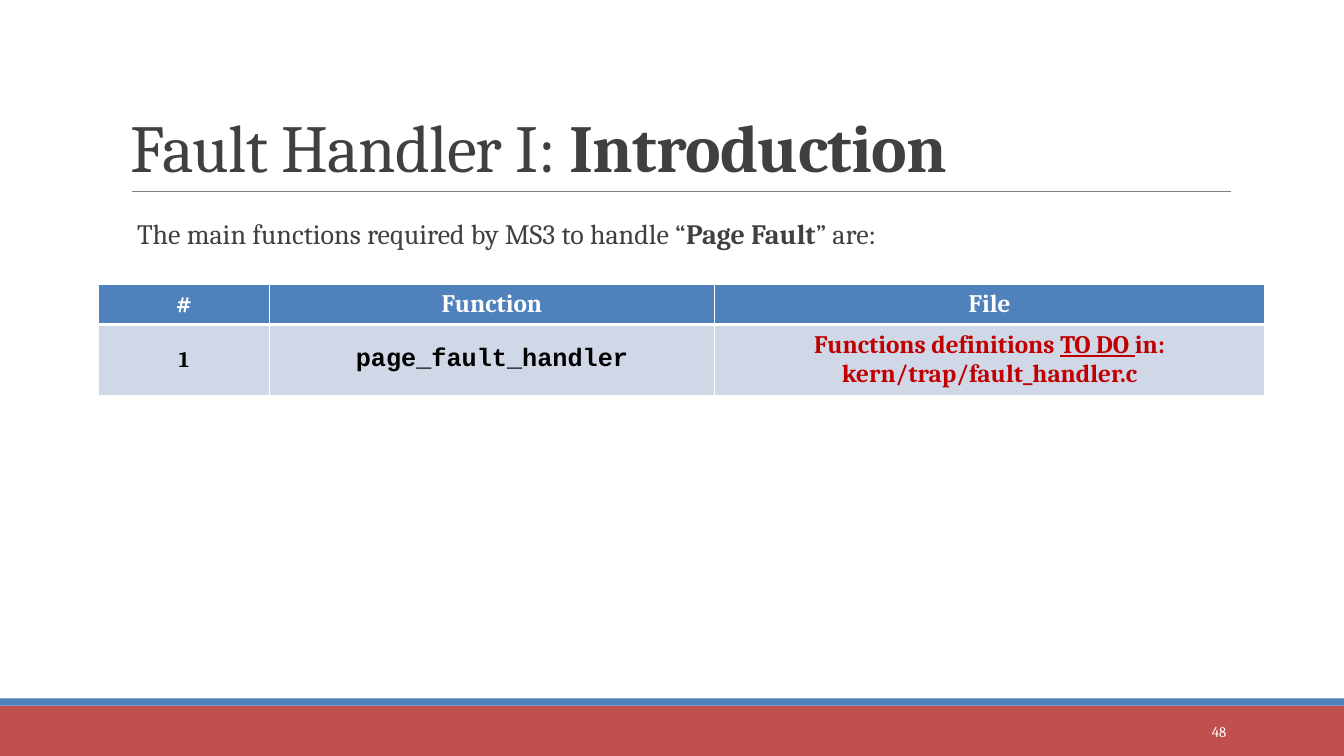
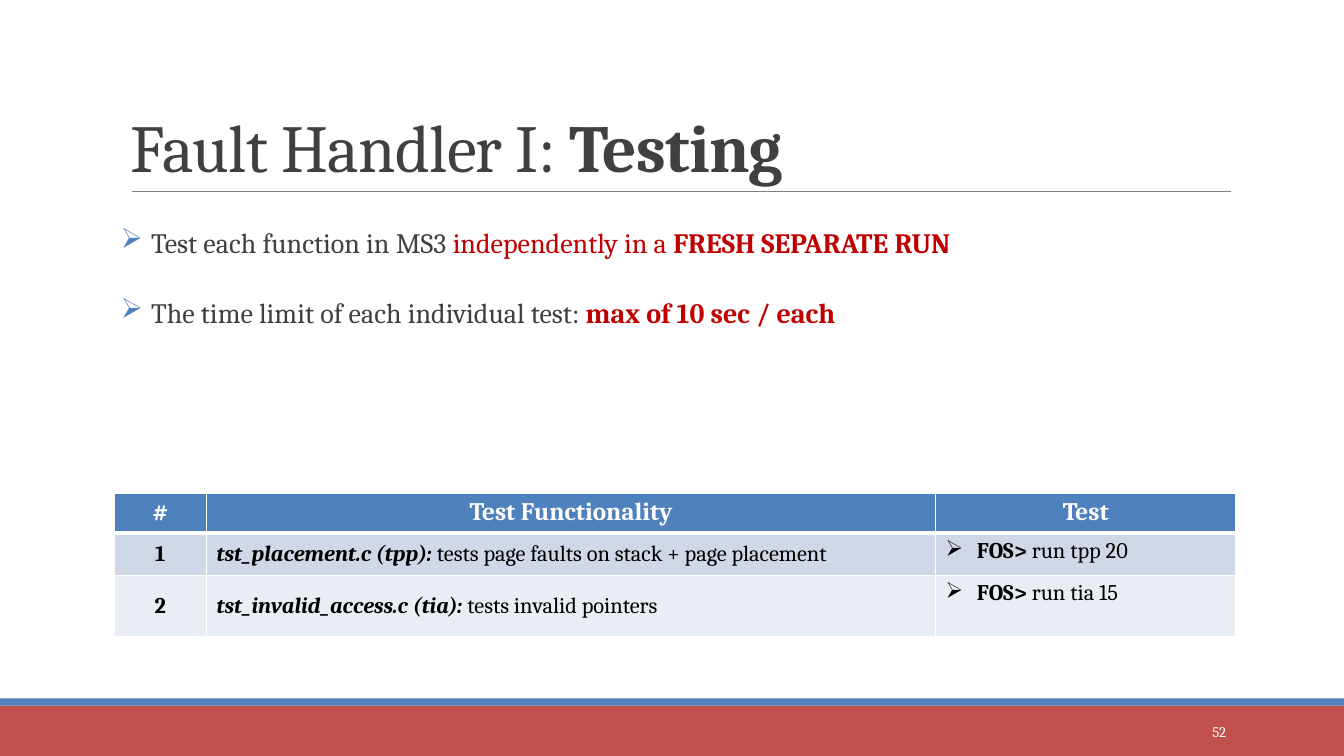
from lxml import etree
from pptx import Presentation
from pptx.dml.color import RGBColor
from pptx.enum.shapes import MSO_CONNECTOR, MSO_SHAPE
from pptx.enum.text import MSO_ANCHOR, PP_ALIGN
from pptx.oxml.ns import qn
from pptx.util import Inches, Pt

RECTANGLE, STRAIGHT = MSO_SHAPE.RECTANGLE, MSO_CONNECTOR.STRAIGHT
TOP, MIDDLE, BOTTOM = MSO_ANCHOR.TOP, MSO_ANCHOR.MIDDLE, MSO_ANCHOR.BOTTOM
LEFT, CENTER, RIGHT = PP_ALIGN.LEFT, PP_ALIGN.CENTER, PP_ALIGN.RIGHT

COLORS = {
    "blue": "4F81BD", "red": "C0504D", "rule": "808080", "text": "404040",
    "accent": "C00000", "white": "FFFFFF", "black": "000000",
    "odd row": "D0D8E8", "even row": "E9EDF4",
}
BOLD = {"bold": True}
ACCENT = {"color": "accent"}
STRONG_ACCENT = {"color": "accent", "bold": True}
BOLD_ITALIC = {"bold": True, "italic": True}


def rgb(name):
    return RGBColor.from_string(COLORS[name])


def write_text(frame, paragraphs, size=20, color="text", font="Cambria", bold=False,
               align=LEFT, line_spacing=None, before=0, after=0, indent=0,
               bullet=None, bullet_color=None, tracking=None):
    for index, runs in enumerate(paragraphs):
        paragraph = frame.add_paragraph() if index else frame.paragraphs[0]
        properties = paragraph._p.get_or_add_pPr()
        if indent:
            properties.set("marL", str(Inches(indent)))
        if bullet:
            properties.set("indent", str(-Inches(indent)))
            if bullet_color:
                tint = etree.SubElement(properties, qn("a:buClr"))
                etree.SubElement(tint, qn("a:srgbClr"), val=COLORS[bullet_color])
            etree.SubElement(properties, qn("a:buChar"), char=bullet)
        paragraph.alignment = align
        paragraph.line_spacing = line_spacing
        paragraph.space_before = Pt(before if index else 0)
        paragraph.space_after = Pt(after)
        for text, style in runs:
            run = paragraph.add_run()
            run.text = text
            run.font.name = font
            run.font.size = Pt(size)
            run.font.bold = style.get("bold", bold)
            run.font.italic = style.get("italic", False)
            run.font.underline = style.get("underline", False)
            run.font.color.rgb = rgb(style.get("color", color))
            if tracking:
                run._r.get_or_add_rPr().set("spc", str(tracking))


header_format = {"size": 18, "color": "white", "bold": True, "align": CENTER}
number_format = {"size": 16, "color": "black", "bold": True, "align": CENTER}
function_format = {"size": 18, "color": "black", "font": "Courier New", "bold": True,
                   "align": CENTER}
file_format = {"size": 18, "color": "accent", "bold": True, "align": CENTER}
test_format = {"size": 16, "color": "black"}
command_format = {**test_format, "bullet": "➢", "indent": 0.31}

lessons = [
    {
        "topic": "Introduction",
        "number": "48",
        "body": [[("The main functions required by MS3 to handle “", {}),
                  ("Page Fault", BOLD), ("” are:", {})]],
        "body_at": (1.26, 2.14, 11, 4.4),
        "body_format": {"line_spacing": 0.9, "indent": 0.1},
        "table_at": (0.98, 2.82),
        "columns": [1.69, 4.42, 5.45],
        "row_heights": [0.4, 0.67],
        "formats": [number_format, function_format, file_format],
        "anchors": [MIDDLE, MIDDLE, MIDDLE],
        "rows": [
            [[("#", {})], [("Function", {})], [("File", {})]],
            [[("1", {})], [("page_fault_handler", {})],
             [("Functions definitions ", {}), ("TO DO ", {"underline": True}),
              ("in: kern/trap/fault_handler.c", {})]],
        ],
    },
    {
        "topic": "Testing",
        "number": "52",
        "body": [
            [("Test each function in MS3 ", {}), ("independently in a ", ACCENT),
             ("FRESH SEPARATE RUN", STRONG_ACCENT)],
            [("The time limit of each individual test: ", {}),
             ("max of 10 sec / each", STRONG_ACCENT)],
        ],
        "body_at": (1.2, 2.02, 11, 4.4),
        "body_format": {"line_spacing": 1.5, "before": 12, "after": 2, "indent": 0.3,
                        "bullet": "➢", "bullet_color": "blue"},
        "table_at": (1.13, 4.89),
        "columns": [0.92, 7.23, 2.98],
        "row_heights": [0.39, 0.42, 0.61],
        "formats": [number_format, test_format, command_format],
        "anchors": [MIDDLE, MIDDLE, TOP],
        "rows": [
            [[("#", {})], [("Test Functionality", {})], [("Test", {})]],
            [[("1", {})],
             [("tst_placement.c (tpp): ", BOLD_ITALIC),
              ("tests page faults on stack + page placement", {})],
             [("FOS>", BOLD), (" run tpp 20", {})]],
            [[("2", {})],
             [("tst_invalid_access.c (tia): ", BOLD_ITALIC),
              ("tests invalid pointers", {})],
             [("FOS>", BOLD), (" run tia 15", {})]],
        ],
    },
]

deck = Presentation()
deck.slide_width, deck.slide_height = Inches(13.33), Inches(7.5)

for lesson in lessons:
    slide = deck.slides.add_slide(deck.slide_layouts[6])

    for top, height, color in [(7, 0.5, "red"), (6.93, 0.07, "blue")]:
        band = slide.shapes.add_shape(RECTANGLE, 0, Inches(top), deck.slide_width,
                                      Inches(height))
        band.shadow.inherit = False
        band.fill.solid()
        band.fill.fore_color.rgb = rgb(color)
        band.line.fill.background()

    title_rule = slide.shapes.add_connector(STRAIGHT, Inches(1.31), Inches(1.9),
                                            Inches(12.21), Inches(1.9))
    title_rule.line.color.rgb = rgb("rule")
    title_rule.line.width = Pt(0.5)
    etree.SubElement(title_rule._element.spPr, qn("a:effectLst"))

    title = [[("Fault Handler I: ", {}), (lesson["topic"], BOLD)]]
    for at, side_margin, anchor, paragraphs, text_format in [
        ((1.2, 0.31, 11, 1.59), 0.1, BOTTOM, title,
         {"size": 48, "line_spacing": 0.85, "tracking": -50}),
        (lesson["body_at"], 0, TOP, lesson["body"], lesson["body_format"]),
        ((10.83, 7.06, 1.43, 0.4), 0.1, MIDDLE, [[(lesson["number"], {})]],
         {"size": 10.5, "color": "white", "align": RIGHT}),
    ]:
        frame = slide.shapes.add_textbox(*map(Inches, at)).text_frame
        frame.word_wrap = True
        frame.vertical_anchor = anchor
        frame.margin_left = frame.margin_right = Inches(side_margin)
        write_text(frame, paragraphs, **text_format)

    columns, row_heights = lesson["columns"], lesson["row_heights"]
    table = slide.shapes.add_table(
        len(row_heights), len(columns), *map(Inches, lesson["table_at"]),
        Inches(sum(columns)), Inches(sum(row_heights))).table
    for column, width in zip(table.columns, columns):
        column.width = Inches(width)
    for row_index, (row, height) in enumerate(zip(table.rows, row_heights)):
        row.height = Inches(height)
        is_header = row_index == 0
        fill = "blue" if is_header else "odd row" if row_index % 2 else "even row"
        for column_index, cell in enumerate(row.cells):
            cell_properties = cell._tc.get_or_add_tcPr()
            for side in "LRTB":
                width = Pt(3 if is_header and side == "B" else 1)
                border = etree.SubElement(cell_properties, qn(f"a:ln{side}"), w=str(width))
                border_fill = etree.SubElement(border, qn("a:solidFill"))
                etree.SubElement(border_fill, qn("a:srgbClr"), val=COLORS["white"])
            cell.fill.solid()
            cell.fill.fore_color.rgb = rgb(fill)
            cell.vertical_anchor = TOP if is_header else lesson["anchors"][column_index]
            cell_format = header_format if is_header else lesson["formats"][column_index]
            write_text(cell.text_frame, [lesson["rows"][row_index][column_index]],
                       **cell_format)

deck.save("out.pptx")
